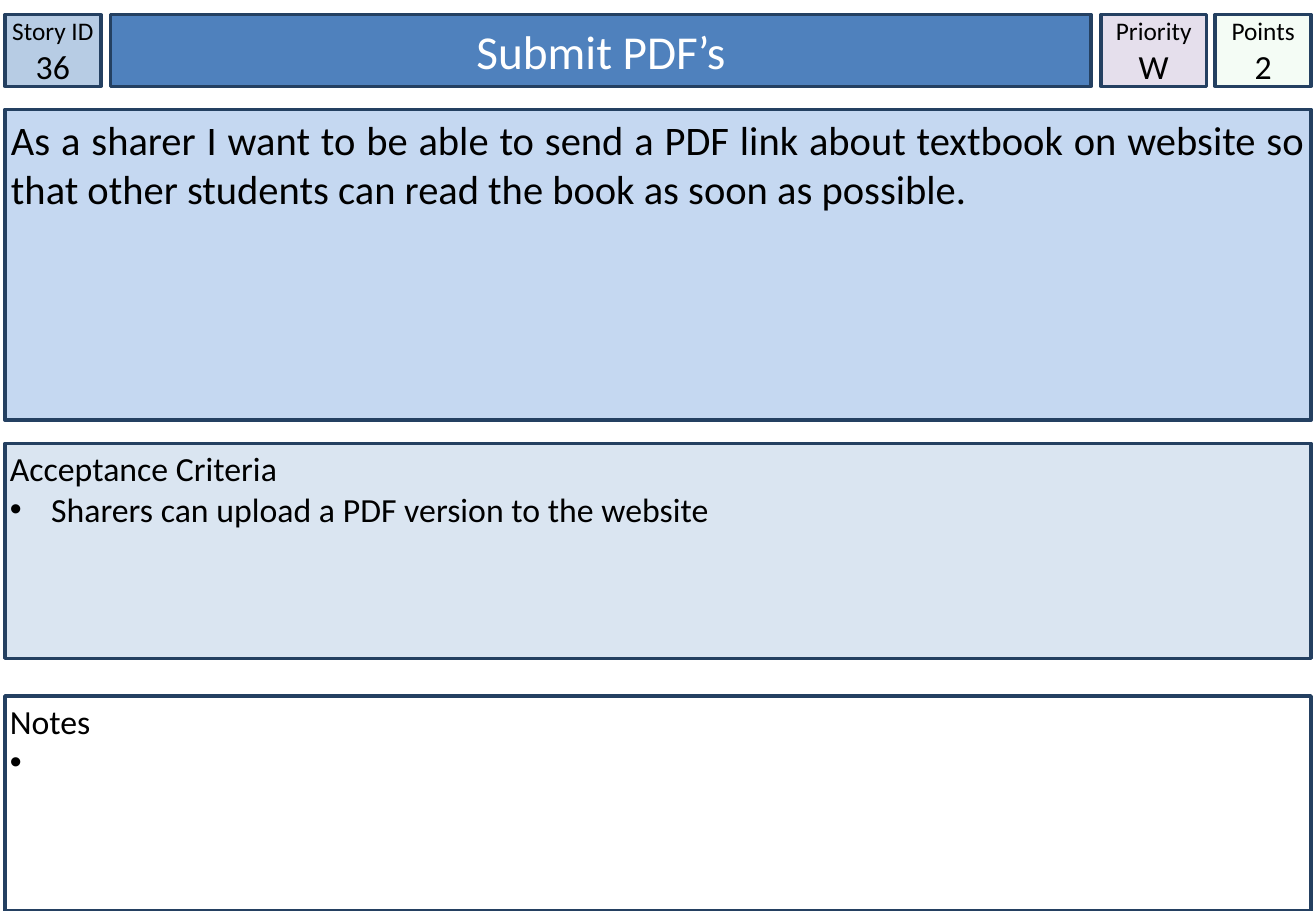
from lxml import etree
from pptx import Presentation
from pptx.dml.color import RGBColor
from pptx.enum import shapes, text
from pptx.oxml import ns
from pptx.util import Inches, Pt

NAVY = RGBColor(0x24, 0x40, 0x61)
BLUE = RGBColor(0x4F, 0x81, 0xBD)
STEEL = RGBColor(0xB7, 0xCC, 0xE4)
SKY = RGBColor(0xC5, 0xD8, 0xF1)
PALE = RGBColor(0xDA, 0xE5, 0xF1)
LILAC = RGBColor(0xE5, 0xDF, 0xEC)
GREEN = RGBColor(0xCC, 0xF0, 0xCD)
BLACK = RGBColor(0, 0, 0)
WHITE = RGBColor(255, 255, 255)

LEFT, WIDTH = 0.04, 10.75
HEADER_TOP, HEADER_HEIGHT = 0.12, 0.59
BULLET_INDENT = Inches(0.34)


def place(shape, left, top, width, height, fill):
    shape.left, shape.top = Inches(left), Inches(top)
    shape.width, shape.height = Inches(width), Inches(height)
    shape.fill.solid()
    shape.fill.fore_color.rgb = fill
    shape.line.color.rgb = NAVY
    shape.line.width = Pt(2)


def write(shape, lines, color=BLACK, align=text.PP_ALIGN.CENTER,
          anchor=text.MSO_ANCHOR.MIDDLE, margin=0, bulleted=False):
    frame = shape.text_frame
    frame.word_wrap = True
    frame.auto_size = text.MSO_AUTO_SIZE.NONE
    frame.vertical_anchor = anchor
    frame.margin_left = frame.margin_right = Inches(margin)
    frame.margin_top = frame.margin_bottom = Inches(margin)
    for index, (words, size) in enumerate(lines):
        paragraph = frame.paragraphs[0] if index == 0 else frame.add_paragraph()
        paragraph.text = words
        paragraph.alignment = align
        paragraph.space_before = Pt(0)
        properties = paragraph._p.get_or_add_pPr()
        indent = BULLET_INDENT if bulleted and index else 0
        properties.set("marL", str(indent))
        properties.set("indent", str(-indent))
        if indent:
            font = etree.SubElement(properties, ns.qn("a:buFont"))
            font.set("typeface", "Arial")
            bullet = etree.SubElement(properties, ns.qn("a:buChar"))
            bullet.set("char", "•")
        else:
            etree.SubElement(properties, ns.qn("a:buNone"))
        paragraph.font.name = "Calibri"
        paragraph.font.size = Pt(size)
        paragraph.font.color.rgb = color


presentation = Presentation()
presentation.slide_width = Inches(10.83)
presentation.slide_height = Inches(7.5)
slide = presentation.slides.add_slide(presentation.slide_layouts[3])
title, criteria, notes = slide.placeholders

place(title, 0.91, HEADER_TOP, 8.07, HEADER_HEIGHT, BLUE)
write(title, [("Submit PDF’s", 28)], color=WHITE)

badges = [
    ("Story ID", "36", LEFT, 0.79, STEEL),
    ("Priority", "W", 9.06, 0.87, LILAC),
    ("Points", "2", 10, 0.79, GREEN),
]
for label, value, left, width, fill in badges:
    badge = slide.shapes.add_shape(shapes.MSO_SHAPE.RECTANGLE, 0, 0, 0, 0)
    badge.shadow.inherit = False
    place(badge, left, HEADER_TOP, width, HEADER_HEIGHT, fill)
    write(badge, [(label, 15), (value, 20)])
    if label == "Points":
        tint = badge._element.spPr.find(".//" + ns.qn("a:srgbClr"))
        etree.SubElement(tint, ns.qn("a:alpha")).set("val", "20000")

story = slide.shapes.add_shape(shapes.MSO_SHAPE.RECTANGLE, 0, 0, 0, 0)
story.shadow.inherit = False
place(story, LEFT, 0.9, WIDTH, 2.56, SKY)
write(
    story,
    [("As a sharer I want to be able to send a PDF link about textbook on website "
      "so that other students can read the book as soon as possible.", 24)],
    align=text.PP_ALIGN.JUSTIFY, anchor=text.MSO_ANCHOR.TOP, margin=0.05,
)

panels = [
    (criteria, 3.65, PALE, "Acceptance Criteria",
     "Sharers can upload a PDF version to the website"),
    (notes, 5.73, WHITE, "Notes", " "),
]
for panel, top, fill, heading, item in panels:
    place(panel, LEFT, top, WIDTH, 1.77, fill)
    write(panel, [(heading, 20), (item, 20)], align=text.PP_ALIGN.LEFT,
          anchor=text.MSO_ANCHOR.TOP, margin=0.04, bulleted=True)

presentation.save("out.pptx")
